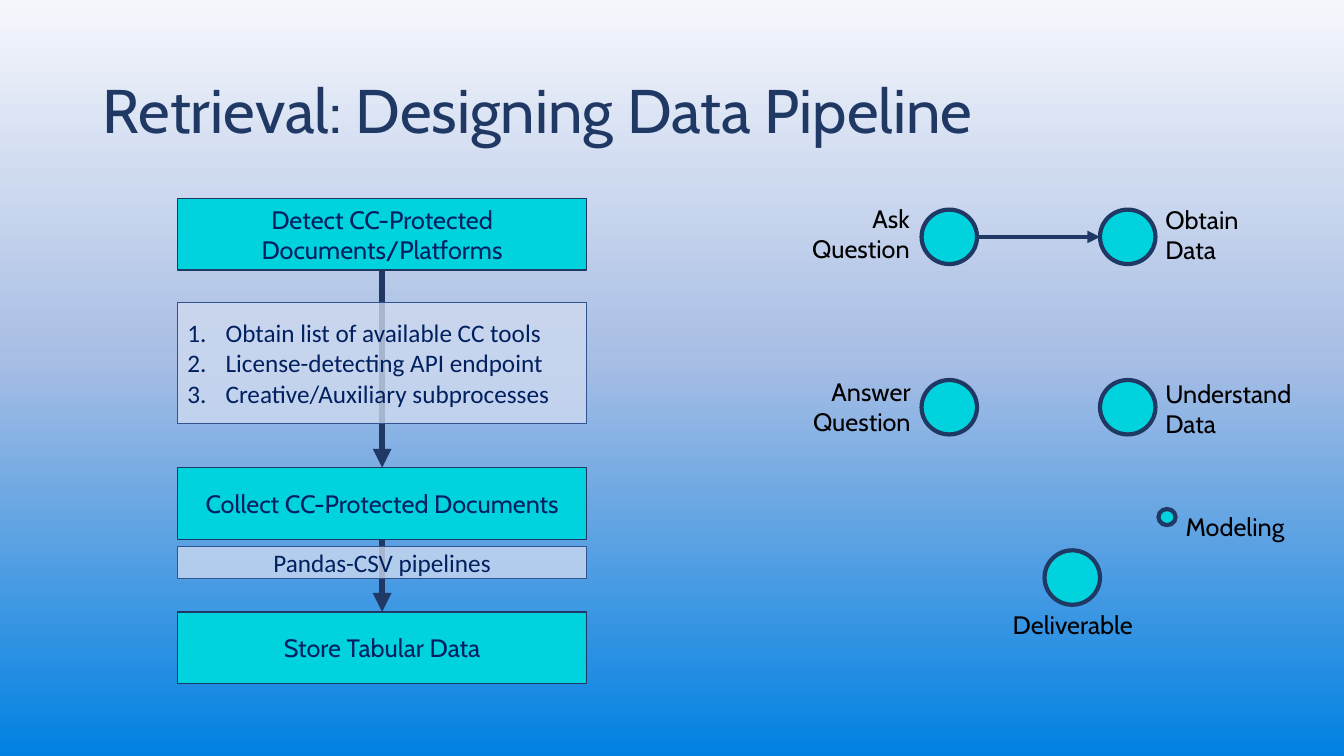
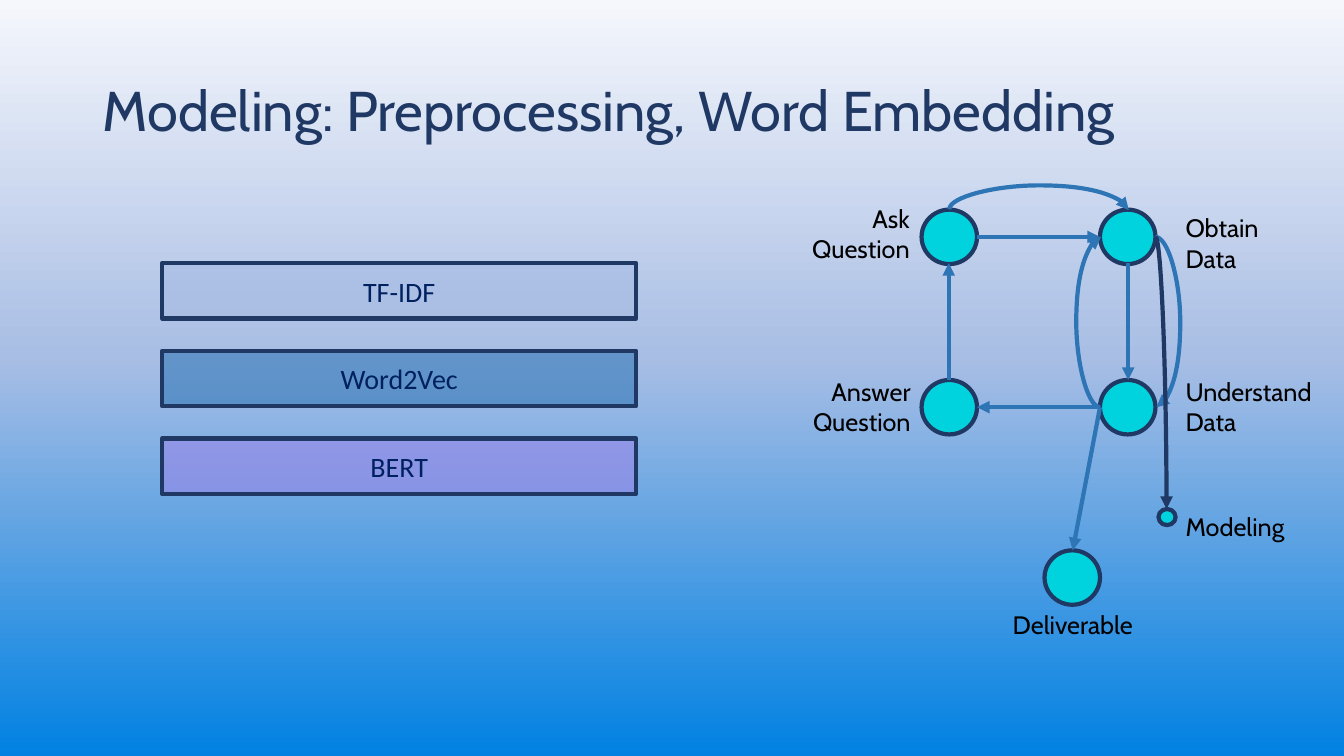
from dataclasses import dataclass

from lxml import etree
from pptx import Presentation
from pptx.dml.color import RGBColor
from pptx.enum.shapes import MSO_CONNECTOR, MSO_SHAPE
from pptx.enum.text import MSO_ANCHOR, PP_ALIGN
from pptx.oxml.ns import qn
from pptx.util import Inches, Pt

RECT, OVAL = MSO_SHAPE.RECTANGLE, MSO_SHAPE.OVAL
STRAIGHT, CURVE = MSO_CONNECTOR.STRAIGHT, MSO_CONNECTOR.CURVE
LEFT, CENTER, RIGHT = PP_ALIGN.LEFT, PP_ALIGN.CENTER, PP_ALIGN.RIGHT
JUSTIFY = PP_ALIGN.JUSTIFY
TOP, MIDDLE = MSO_ANCHOR.TOP, MSO_ANCHOR.MIDDLE

COLORS = {
    "title": "1F3864", "navy": "203864", "ink": "002060", "black": "000000",
    "cyan": "00D3DE", "arrow": "2E75B6", "note": "D0DBF0", "note_edge": "31538F",
    "tfidf": "A5BAE3", "word2vec": "2E75B5", "bert": "9984E8",
}
GRADIENT = ((0, "F5F7FC"), (47, "A9BEE4"), (100, "0081E2"))
HEAD, BODY = "Cabin", "Calibri"

# Connection sites of an ellipse
SITE_TOP, SITE_LEFT, SITE_RIGHT = 0, 2, 6


@dataclass
class Node:
    name: str
    x: float
    y: float
    w: float = 0.55
    h: float = 0.54


@dataclass
class Label:
    text: str
    x: float
    y: float
    w: float
    align: PP_ALIGN = LEFT
    h: float = 0.71


@dataclass
class Box:
    text: str
    x: float
    y: float
    w: float
    h: float
    fill: str
    line: str = "navy"
    line_pt: float = 1
    alpha: int = 100
    font: str = HEAD
    size: int = 18
    numbered: bool = False


@dataclass
class Arc:
    """Curved arrow: unrotated frame, turn, and bulge measured from the start."""
    start: str
    start_site: int
    end: str
    end_site: int
    frame: tuple[float, float, float, float]
    color: str = "arrow"
    rot: int = 0
    flip: bool = False
    bulge: float | None = None


NODES = (
    Node("ask", 9.14, 2.08), Node("answer", 9.14, 3.77),
    Node("obtain", 10.91, 2.08), Node("understand", 10.91, 3.77),
    Node("deliverable", 10.36, 5.46), Node("modeling", 11.49, 5.05, 0.17, 0.16),
)
LABELS = (
    Label("Answer Question", 7.2, 3.68, 1.93, RIGHT),
    Label("Ask Question", 7.73, 1.97, 1.39, RIGHT),
    Label("Deliverable", 9.85, 6, 1.58, CENTER, 0.4),
    Label("Modeling", 11.66, 5.02, 1.39, LEFT, 0.4),
)
ASK_TO_OBTAIN = ((9.69, 2.35), (10.91, 2.35))
THIN = 0.01  # frame width of an arc whose ends are level


def rgb(name: str) -> RGBColor:
    return RGBColor.from_string(COLORS[name])


def write(shape, text: str, size: int, color: str, font: str = HEAD,
          align: PP_ALIGN = LEFT, anchor: MSO_ANCHOR = TOP) -> None:
    tf = shape.text_frame
    tf.word_wrap = True
    tf.vertical_anchor = anchor
    tf.text = text
    for p in tf.paragraphs:
        p.alignment = align
        for r in p.runs:
            r.font.size, r.font.name = Pt(size), font
            r.font.color.rgb = rgb(color)


def number(p) -> None:
    pPr = p._p.get_or_add_pPr()
    pPr.set("marL", str(Inches(0.38)))
    pPr.set("indent", str(-Inches(0.38)))
    clr = etree.SubElement(pPr, qn("a:buClr"))
    etree.SubElement(clr, qn("a:srgbClr"), val=COLORS["ink"])
    etree.SubElement(pPr, qn("a:buAutoNum"), type="arabicPeriod")


def add_figure(s, kind: MSO_SHAPE, x: float, y: float, w: float, h: float,
               fill: str, line: str, line_pt: float, alpha: int = 100):
    sp = s.shapes.add_shape(kind, Inches(x), Inches(y), Inches(w), Inches(h))
    sp.shadow.inherit = False
    sp.fill.solid()
    sp.fill.fore_color.rgb = rgb(fill)
    if alpha < 100:
        clr = sp._element.spPr.find(qn("a:solidFill"))[0]
        etree.SubElement(clr, qn("a:alpha"), val=str(alpha * 1000))
    sp.line.color.rgb = rgb(line)
    sp.line.width = Pt(line_pt)
    return sp


def add_box(s, b: Box):
    sp = add_figure(s, RECT, b.x, b.y, b.w, b.h, b.fill, b.line, b.line_pt, b.alpha)
    write(sp, b.text, b.size, "ink", b.font, JUSTIFY if b.numbered else CENTER, MIDDLE)
    if b.numbered:
        for p in sp.text_frame.paragraphs:
            number(p)
    return sp


def add_label(s, t: Label) -> None:
    sp = s.shapes.add_textbox(Inches(t.x), Inches(t.y), Inches(t.w), Inches(t.h))
    write(sp, t.text, 18, "black", align=t.align)


def add_arrow(s, start: tuple[float, float], end: tuple[float, float],
              color: str, width: float = 3, kind: MSO_CONNECTOR = STRAIGHT):
    cxn = s.shapes.add_connector(kind, *map(Inches, (*start, *end)))
    cxn.line.color.rgb = rgb(color)
    cxn.line.width = Pt(width)
    spPr = cxn._element.spPr
    etree.SubElement(spPr.find(qn("a:ln")), qn("a:tailEnd"), type="triangle")
    etree.SubElement(spPr, qn("a:effectLst"))
    return cxn


def add_arc(s, a: Arc, ovals: dict) -> None:
    x, y, w, h = a.frame
    cxn = add_arrow(s, (x, y), (x + w, y + h), a.color, kind=CURVE)
    spPr = cxn._element.spPr
    xfrm, geom = spPr.find(qn("a:xfrm")), spPr.find(qn("a:prstGeom"))
    if a.rot:
        xfrm.set("rot", str(a.rot * 60000))
    if a.flip:
        xfrm.set("flipH", "1")
    if a.bulge is None:
        geom.set("prst", "curvedConnector2")
    else:
        guide = f"val {round(a.bulge / w * 100000)}"
        etree.SubElement(geom.find(qn("a:avLst")), qn("a:gd"), name="adj1", fmla=guide)
    joints = cxn._element.find(".//" + qn("p:cNvCxnSpPr"))
    for tag, name, site in (("a:stCxn", a.start, a.start_site),
                            ("a:endCxn", a.end, a.end_site)):
        etree.SubElement(joints, qn(tag), id=str(ovals[name].shape_id), idx=str(site))


def add_cycle(s, obtain: tuple[float, float], understand: tuple[float, float]) -> dict:
    """Draw the project cycle without arrows and return its circles by name."""
    ovals = {n.name: add_figure(s, OVAL, n.x, n.y, n.w, n.h, "cyan", "navy", 3)
             for n in NODES}
    for t in (*LABELS, Label("Obtain Data", *obtain, 1.39),
              Label("Understand Data", *understand, 1.58)):
        add_label(s, t)
    return ovals


def add_slide(prs, title: str, size: int):
    s = prs.slides.add_slide(prs.slide_layouts[6])
    sp = s.shapes.add_textbox(Inches(0.92), Inches(0.4), Inches(11.5), Inches(1.45))
    write(sp, title, size, "title", anchor=MIDDLE)
    sp.text_frame.paragraphs[0].line_spacing = 0.9
    return s


def set_background(master) -> None:
    fill = master.background.fill
    fill.gradient()
    fill.gradient_angle = 270
    stops = master._element.find(".//" + qn("p:bg")).find(".//" + qn("a:gsLst"))
    for gs in list(stops):
        stops.remove(gs)
    for pos, color in GRADIENT:
        gs = etree.SubElement(stops, qn("a:gs"), pos=str(pos * 1000))
        etree.SubElement(gs, qn("a:srgbClr"), val=color)


def build_retrieval(prs) -> None:
    s = add_slide(prs, "Retrieval: Designing Data Pipeline", 44)
    add_cycle(s, (11.46, 1.98), (11.46, 3.7))
    add_arrow(s, *ASK_TO_OBTAIN, "navy")

    # Pipeline steps, joined from top to bottom
    x, w, h = 1.76, 4.06, 0.71
    steps = [add_box(s, Box(text, x, y, w, h, "cyan")) for text, y in (
        ("Detect CC-Protected Documents/Platforms", 1.97),
        ("Collect CC-Protected Documents", 4.64),
        ("Store Tabular Data", 6.07))]
    for upper, lower in zip(steps, steps[1:]):
        cxn = add_arrow(s, (0, 0), (1, 1), "navy", 4.5)
        cxn.begin_connect(upper, 2)
        cxn.end_connect(lower, 0)

    # Notes over the arrows
    tools = "\n".join(("Obtain list of available CC tools",
                       "License-detecting API endpoint",
                       "Creative/Auxiliary subprocesses"))
    for text, y, height, numbered in ((tools, 3, 1.2, True),
                                      ("Pandas-CSV pipelines", 5.42, 0.32, False)):
        add_box(s, Box(text, x, y, w, height, "note", "note_edge", alpha=77,
                       font=BODY, numbered=numbered))


def build_modeling(prs) -> None:
    s = add_slide(prs, "Modeling: Preprocessing, Word Embedding", 40)
    ovals = add_cycle(s, (11.66, 2.06), (11.66, 3.68))

    # Arrows of the cycle
    for start, end in (
        ASK_TO_OBTAIN,
        ((11.19, 2.61), (11.19, 3.77)),
        ((10.91, 4.04), (9.69, 4.04)),
        ((9.41, 3.77), (9.41, 2.61)),
        ((10.91, 4.04), (10.64, 5.46)),
    ):
        add_arrow(s, start, end, "arrow")
    for a in (
        Arc("understand", SITE_LEFT, "obtain", SITE_LEFT,
            (10.91, 2.35, THIN, 1.69), rot=180, flip=True, bulge=-0.24),
        Arc("obtain", SITE_RIGHT, "understand", SITE_RIGHT,
            (11.46, 2.35, THIN, 1.69), bulge=0.25),
        Arc("ask", SITE_TOP, "obtain", SITE_TOP,
            (10.3, 1.19, THIN, 1.78), rot=270, flip=True, bulge=-0.24),
        Arc("obtain", SITE_RIGHT, "modeling", SITE_TOP,
            (11.46, 2.35, 0.11, 2.7), "navy"),
    ):
        add_arc(s, a, ovals)

    # Embedding methods
    for i, (text, fill) in enumerate((("TF-IDF", "tfidf"), ("Word2Vec", "word2vec"),
                                      ("BERT", "bert"))):
        add_box(s, Box(text, 1.61, 2.61 + 0.87 * i, 4.7, 0.55, fill, line_pt=3,
                       alpha=57, font=BODY, size=20))


def main() -> None:
    prs = Presentation()
    prs.slide_width, prs.slide_height = Inches(13.33), Inches(7.5)
    set_background(prs.slide_master)
    build_retrieval(prs)
    build_modeling(prs)
    prs.save("out.pptx")


if __name__ == "__main__":
    main()
